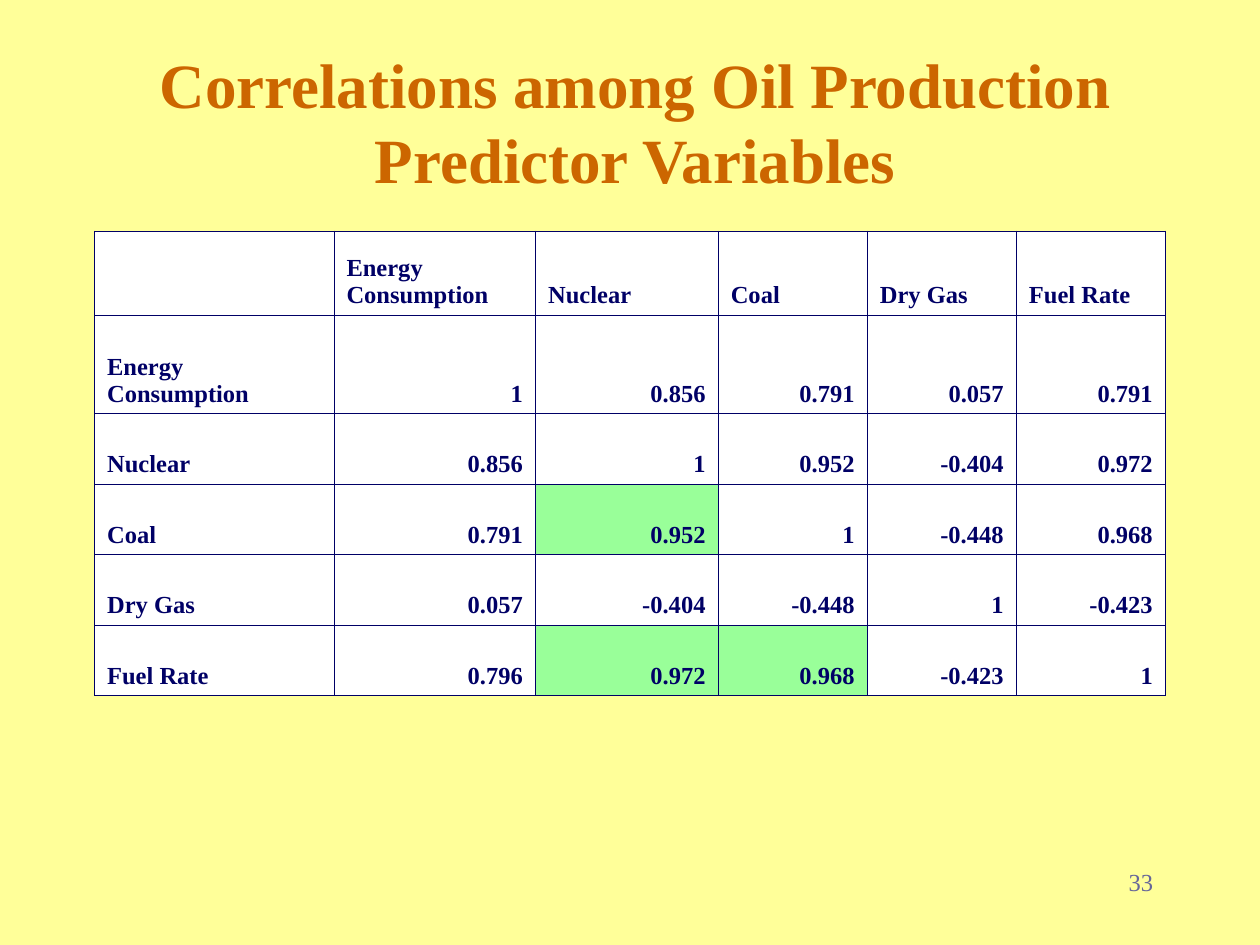
from lxml import etree
from pptx import Presentation
from pptx.dml.color import RGBColor
from pptx.enum.text import MSO_ANCHOR, PP_ALIGN
from pptx.oxml.ns import qn
from pptx.util import Pt

LEFT, CENTER, RIGHT = PP_ALIGN.LEFT, PP_ALIGN.CENTER, PP_ALIGN.RIGHT
TOP, MIDDLE, BOTTOM = MSO_ANCHOR.TOP, MSO_ANCHOR.MIDDLE, MSO_ANCHOR.BOTTOM

TITLE = "Correlations among Oil Production Predictor Variables"
PAGE_NUMBER = "33"
VARIABLES = ["Energy\nConsumption", "Nuclear", "Coal", "Dry Gas", "Fuel Rate"]
CORRELATIONS = [
    ["1", "0.856", "0.791", "0.057", "0.791"],
    ["0.856", "1", "0.952", "-0.404", "0.972"],
    ["0.791", "0.952", "1", "-0.448", "0.968"],
    ["0.057", "-0.404", "-0.448", "1", "-0.423"],
    ["0.796", "0.972", "0.968", "-0.423", "1"],
]
HIGHLIGHTED = {("Coal", "Nuclear"), ("Fuel Rate", "Nuclear"), ("Fuel Rate", "Coal")}

THEME = {
    "font": "Times New Roman",
    "background": "FFFF99", "title": "CC6600", "table_text": "000066",
    "border": "000066", "cell": "FFFFFF", "highlight": "99FF99", "page": "666699",
    "title_size": 36, "body_size": 14, "border_width": 0.45,
}

SLIDE_SIZE = (720, 540)
TITLE_BOX = (30, 24, 666, 90)
PAGE_BOX = (606, 492, 60, 36)
TABLE_LEFT, TABLE_TOP = 54, 132
COLUMN_WIDTHS = [136.8, 115.2, 104.4, 85.2, 85.2, 85.2]
ROW_HEIGHTS = [48.24, 56.16] + [40.32] * 4


def color(role):
    return RGBColor.from_string(THEME[role])


def style_text(frame, role, size, align, bold):
    for paragraph in frame.paragraphs:
        paragraph.alignment = align
        for run in paragraph.runs:
            run.font.name = THEME["font"]
            run.font.size = Pt(THEME[size])
            run.font.bold = bold
            run.font.color.rgb = color(role)


def add_label(slide, text, box, role, size, align, anchor, bold):
    frame = slide.shapes.add_textbox(*map(Pt, box)).text_frame
    frame.word_wrap = True
    frame.vertical_anchor = anchor
    frame.text = text
    style_text(frame, role, size, align, bold)


def add_borders(cell):
    """Line all four sides; the lines must precede the fill in tcPr."""
    properties = cell._tc.get_or_add_tcPr()
    for position, side in enumerate(("a:lnL", "a:lnR", "a:lnT", "a:lnB")):
        line = etree.Element(qn(side), w=str(Pt(THEME["border_width"])))
        fill = etree.SubElement(line, qn("a:solidFill"))
        etree.SubElement(fill, qn("a:srgbClr"), val=THEME["border"])
        properties.insert(position, line)


def add_correlation_table(slide):
    rows = [["", *VARIABLES]]
    rows += [[name, *values] for name, values in zip(VARIABLES, CORRELATIONS)]
    table = slide.shapes.add_table(
        len(rows), len(rows[0]), Pt(TABLE_LEFT), Pt(TABLE_TOP),
        Pt(sum(COLUMN_WIDTHS)), Pt(sum(ROW_HEIGHTS))).table
    for column, width in zip(table.columns, COLUMN_WIDTHS):
        column.width = Pt(width)
    for row, height in zip(table.rows, ROW_HEIGHTS):
        row.height = Pt(height)

    for r, row in enumerate(rows):
        for c, text in enumerate(row):
            cell = table.cell(r, c)
            cell.text_frame.text = text
            cell.vertical_anchor = BOTTOM
            align = RIGHT if r and c else LEFT
            style_text(cell.text_frame, "table_text", "body_size", align, True)
            cell.fill.solid()
            marked = (row[0], rows[0][c]) in HIGHLIGHTED
            cell.fill.fore_color.rgb = color("highlight" if marked else "cell")
            add_borders(cell)


def main():
    deck = Presentation()
    deck.slide_width, deck.slide_height = map(Pt, SLIDE_SIZE)
    slide = deck.slides.add_slide(deck.slide_layouts[6])
    slide.background.fill.solid()
    slide.background.fill.fore_color.rgb = color("background")

    add_label(slide, TITLE, TITLE_BOX, "title", "title_size", CENTER, MIDDLE, True)
    add_correlation_table(slide)
    add_label(slide, PAGE_NUMBER, PAGE_BOX, "page", "body_size", RIGHT, TOP, False)
    deck.save("out.pptx")


if __name__ == "__main__":
    main()
